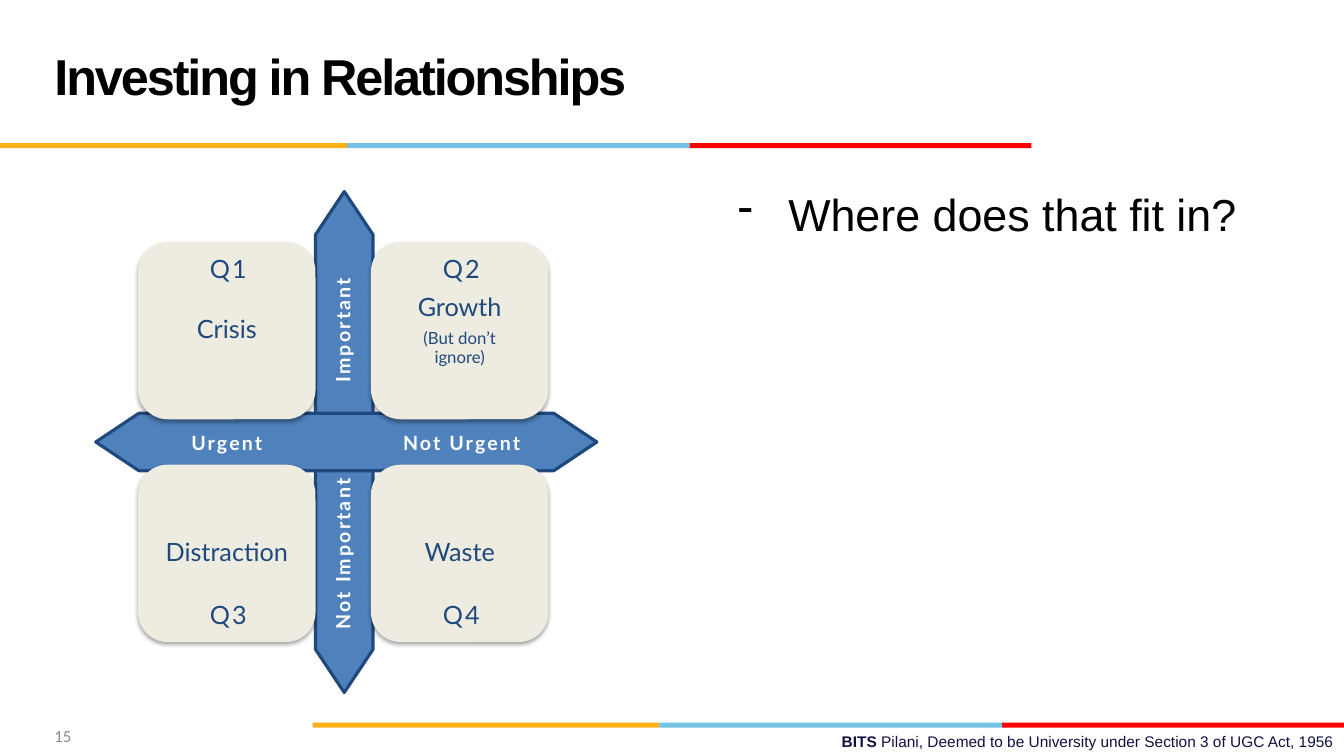
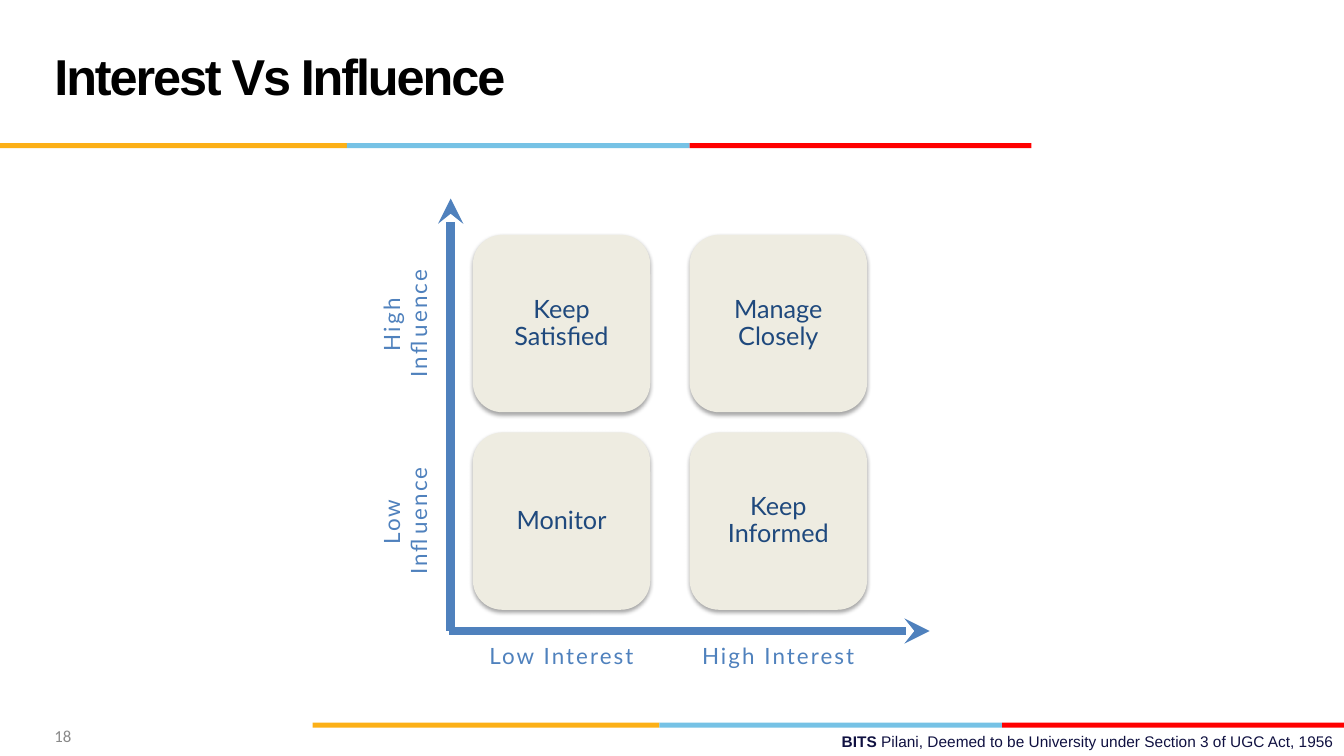
from pptx import Presentation
from pptx.dml.color import RGBColor
from pptx.enum.shapes import MSO_CONNECTOR, MSO_SHAPE
from pptx.enum.text import MSO_ANCHOR, MSO_AUTO_SIZE, PP_ALIGN
from pptx.oxml import parse_xml
from pptx.oxml.ns import nsdecls
from pptx.oxml.xmlchemy import OxmlElement
from pptx.util import Pt

PX = 9144
COLORS = {
    "gold": "FCB017", "sky": "76C2E5", "red": "FF0000", "navy": "101141",
    "black": "000000", "white": "FFFFFF", "gray": "898989",
    "blue": "4F81BD", "deep": "1F497D", "cream": "EEECE1",
}
BAND = [("gold", 344), ("sky", 340), ("red", 339)]
TITLE = {"size": 36, "name": "Arial", "color": "black", "bold": True, "spacing": -150}
BODY = {"size": 32, "name": "Arial", "color": "black"}
FOOTER = {"size": 11, "name": "Arial", "color": "navy"}
NUMBER = {"size": 12, "name": "Calibri", "color": "gray"}
CARD = {"size": 18, "name": "Lato", "color": "deep"}
NOTE = {**CARD, "size": 12}
CODE = {**CARD, "spacing": 150}
ARROW_LABEL = {"size": 14, "name": "Lato", "color": "white", "bold": True, "spacing": 150}
AXIS_LABEL = {"size": 16, "name": "Lato", "color": "blue", "spacing": 150}
CARD_SIZE = 176
LABEL_INSETS = (10, 8)
SHADOW = """<a:outerShdw {} blurRad="39370" dist="22860" dir="5400000" rotWithShape="0">
<a:srgbClr val="000000"><a:alpha val="35000"/></a:srgbClr></a:outerShdw>"""


def px(*lengths):
    """Turn px lengths into EMU."""
    return [length * PX for length in lengths]


def rgb(name):
    """Look up a named colour."""
    return RGBColor.from_string(COLORS[name])


def apply(target, values):
    """Set each attribute in values on target."""
    for name, value in values.items():
        setattr(target, name, value)


def write(para, text, style):
    """Add a styled run to a paragraph."""
    span = para.add_run()
    span.text = text
    values = {"size": Pt(style["size"]), "name": style["name"], "bold": style.get("bold", False)}
    apply(span.font, values)
    span.font.color.rgb = rgb(style["color"])
    if "spacing" in style:
        span.font._element.set("spc", str(style["spacing"]))


def set_frame(shape, anchor, insets):
    """Set wrapping, anchor and insets of a text frame."""
    across, down = px(*insets)
    apply(shape.text_frame, {
        "word_wrap": True, "auto_size": MSO_AUTO_SIZE.NONE, "vertical_anchor": anchor,
        "margin_left": across, "margin_right": across,
        "margin_top": down, "margin_bottom": down,
    })


def add_text(page, at, text, style, align=PP_ALIGN.CENTER, anchor=MSO_ANCHOR.MIDDLE,
             insets=LABEL_INSETS, rotation=0):
    """Add a one-paragraph text box and return its paragraph."""
    box = page.shapes.add_textbox(*px(*at))
    box.rotation = rotation
    set_frame(box, anchor, insets)
    para = box.text_frame.paragraphs[0]
    para.alignment = align
    write(para, text, style)
    return para


def add_block(page, kind, at, fill, line=None):
    """Add a filled preset shape, outlined when a line colour is given."""
    block = page.shapes.add_shape(kind, *px(*at))
    block.shadow.inherit = False
    block.fill.solid()
    block.fill.fore_color.rgb = rgb(fill)
    if line:
        block.line.color.rgb = rgb(line)
        block.line.width = Pt(2.25)
    else:
        block.line.fill.background()
    return block


def add_band(page, left, top):
    """Add the three-colour band."""
    for color, width in BAND:
        add_block(page, MSO_SHAPE.RECTANGLE, (left, top, width, 5), color)
        left += width


def add_cross_arrow(page, at, rotation):
    """Add a double-headed block arrow with a full-width shaft."""
    arrow = add_block(page, MSO_SHAPE.LEFT_RIGHT_ARROW, at, "blue", "deep")
    arrow.rotation = rotation
    arrow.adjustments[0] = 1
    arrow.adjustments[1] = 0.75


def add_card(page, left, top, lines):
    """Add a shadowed rounded card with centred lines."""
    card = add_block(page, MSO_SHAPE.ROUNDED_RECTANGLE, (left, top, CARD_SIZE, CARD_SIZE), "cream")
    effects = card._element.spPr.find("{*}effectLst")
    effects.append(parse_xml(SHADOW.format(nsdecls("a"))))
    set_frame(card, MSO_ANCHOR.MIDDLE, (17, 17))
    for index, (text, style) in enumerate(lines):
        para = card.text_frame.add_paragraph() if index else card.text_frame.paragraphs[0]
        apply(para, {"alignment": PP_ALIGN.CENTER, "line_spacing": 0.9,
                     "space_after": Pt(round(style["size"] * 0.35, 1))})
        write(para, text, style)


def add_axis(page, start, end):
    """Add a thick axis line with a stealth arrowhead."""
    axis = page.shapes.add_connector(MSO_CONNECTOR.STRAIGHT, *px(*start, *end))
    axis.line.color.rgb = rgb("blue")
    axis.line.width = Pt(6)
    head = OxmlElement("a:tailEnd")
    head.set("type", "stealth")
    axis.line._get_or_add_ln().append(head)
    axis._element.spPr.append(OxmlElement("a:effectLst"))


def add_bullet(para, sign, indent):
    """Give a paragraph a hanging bullet."""
    properties = para._p.get_or_add_pPr()
    properties.set("marL", str(indent * PX))
    properties.set("indent", str(-indent * PX))
    bullet = OxmlElement("a:buChar")
    bullet.set("char", sign)
    properties.append(bullet)


def prepare_layout(deck):
    """Put the bands and footer on the title-only layout."""
    layout = deck.slide_layouts[5]
    for holder in list(layout.placeholders)[1:]:
        holder.element.getparent().remove(holder.element)
    draft = deck.slides.add_slide(layout)
    add_band(draft, 0, 142)
    add_band(draft, 310, 717)
    para = add_text(draft, (478, 721, 855, 29), "BITS ", {**FOOTER, "bold": True},
                    PP_ALIGN.RIGHT, MSO_ANCHOR.TOP, (10, 5))
    write(para, "Pilani, Deemed to be University under Section 3 of UGC Act, 1956", FOOTER)
    for shape in list(draft.shapes)[1:]:
        layout.shapes.element.append(shape.element)
    return draft


def fill_page(page, title, number):
    """Write the title and page number."""
    holder = page.shapes.title
    apply(holder, dict(zip(("left", "top", "width", "height"), px(44, 17, 922, 125))))
    set_frame(holder, MSO_ANCHOR.MIDDLE, (10, 5))
    para = holder.text_frame.paragraphs[0]
    apply(para, {"alignment": PP_ALIGN.LEFT, "line_spacing": Pt(36)})
    write(para, title, TITLE)
    add_text(page, (44, 710, 311, 40), number, NUMBER, PP_ALIGN.LEFT, insets=(10, 5))


def draw_relationships(page):
    """Draw the urgency and importance matrix."""
    fill_page(page, "Investing in Relationships", "15")
    para = add_text(page, (722, 180, 589, 490), "Where does that fit in?", BODY,
                    PP_ALIGN.LEFT, MSO_ANCHOR.TOP, (10, 5))
    add_bullet(para, "-", 50)
    add_cross_arrow(page, (93, 410, 497, 57), 270)
    add_cross_arrow(page, (95, 410, 497, 57), 0)
    cards = [
        ("Q1", [("Crisis", CARD)]),
        ("Q2", [("Growth", CARD), ("(But don’t ignore)", NOTE)]),
        ("Q3", [("Distraction", CARD)]),
        ("Q4", [("Waste", CARD)]),
    ]
    for index, (code, lines) in enumerate(cards):
        row, column = divmod(index, 2)
        left, top = 137 + 231 * column, 240 + 221 * row
        add_card(page, left, top, lines)
        offset, height, anchor = [(3, 44, MSO_ANCHOR.TOP), (123, 49, MSO_ANCHOR.BOTTOM)][row]
        add_text(page, (left + 51, top + offset, 77, height), code, CODE, anchor=anchor)
    for left, text in ((137, "Urgent"), (370, "Not Urgent")):
        add_text(page, (left, 417, CARD_SIZE, 44), text, ARROW_LABEL)
    for top, text in ((309, "Important"), (531, "Not Important")):
        add_text(page, (253, top, CARD_SIZE, 37), text, ARROW_LABEL,
                 anchor=MSO_ANCHOR.BOTTOM, rotation=270)


def draw_influence(page):
    """Draw the interest and influence matrix."""
    fill_page(page, "Interest Vs Influence", "18")
    for index, text in enumerate(("Keep Satisfied", "Manage Closely", "Monitor", "Keep Informed")):
        row, column = divmod(index, 2)
        add_card(page, 469 + 215 * column, 233 + 196 * row, [(text, CARD)])
    for column, text in enumerate(("Low Interest", "High Interest")):
        add_text(page, (469 + 215 * column, 628, CARD_SIZE, 44), text, AXIS_LABEL)
    for row, text in enumerate(("High Influence", "Low Influence")):
        add_text(page, (326, 299 + 196 * row, CARD_SIZE, 44), text, AXIS_LABEL,
                 anchor=MSO_ANCHOR.BOTTOM, rotation=270)
    add_axis(page, (445, 626), (922, 626))
    add_axis(page, (447, 626), (447, 197))


def main():
    """Build and save the deck."""
    deck = Presentation()
    deck.slide_width, deck.slide_height = px(1333, 750)
    first = prepare_layout(deck)
    draw_relationships(first)
    draw_influence(deck.slides.add_slide(first.slide_layout))
    deck.save("out.pptx")


if __name__ == "__main__":
    main()
